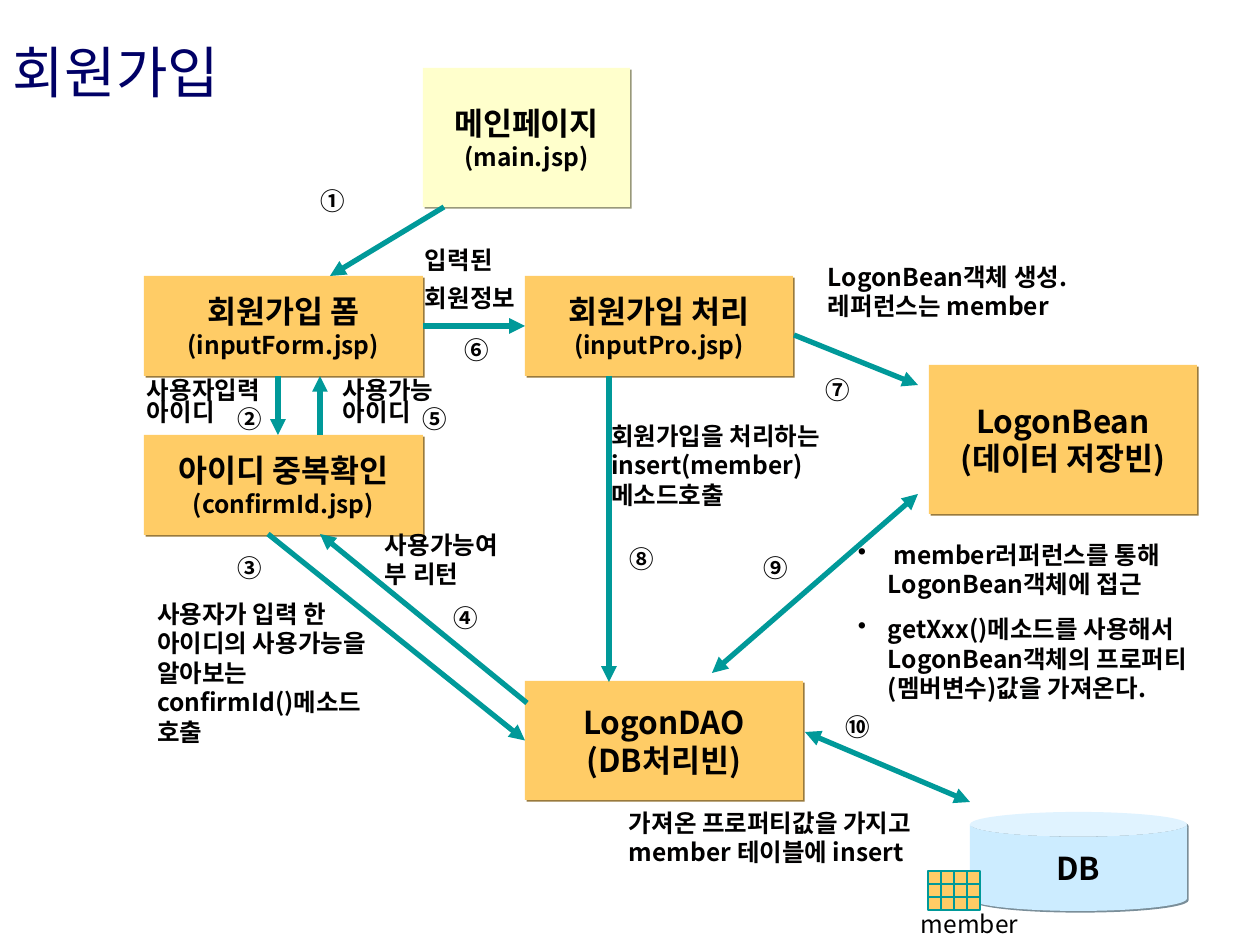
from lxml import etree
from pptx import Presentation
from pptx import util as u
from pptx.dml.color import RGBColor
from pptx.enum import shapes, text
from pptx.oxml.ns import qn

PX = 914400 / 126
FONT = "Noto Sans CJK KR"
INK, TEAL, ORANGE, NAVY = "010000", "009999", "FFCC66", "000066"


def color(code):
    return RGBColor.from_string(code)


def write(frame, lines, align=text.PP_ALIGN.LEFT, before=0, spacing=1.0,
          bold=True, ink=INK, inset=(13, 6)):
    """Fill a text frame with one paragraph per (words, point size) pair."""
    frame.margin_left = frame.margin_right = round(inset[0] * PX)
    frame.margin_top = frame.margin_bottom = round(inset[1] * PX)
    for index, (words, size) in enumerate(lines):
        para = frame.add_paragraph() if index else frame.paragraphs[0]
        para.alignment = align
        para.space_before = u.Pt(before)
        para.line_spacing = spacing
        span = para.add_run()
        span.text = words
        span.font.size = u.Pt(size)
        span.font.bold = bold
        span.font.color.rgb = color(ink)
        span.font.name = FONT
        etree.SubElement(span.font._element, qn("a:ea"), typeface=FONT)


deck = Presentation()
deck.slide_width, deck.slide_height = u.Inches(10), u.Inches(7.5)
page = deck.slides.add_slide(deck.slide_layouts[5])

title = page.shapes.title
title.left, title.top = 0, 0
title.width, title.height = round(436 * PX), round(159 * PX)
title.text_frame.vertical_anchor = text.MSO_ANCHOR.MIDDLE
write(title.text_frame, [("회원가입", 32)], spacing=0.7, bold=False, ink=NAVY)

# Pages, beans and the database: kind, place, fill, shadow, lines
RECT, CAN = shapes.MSO_SHAPE.RECTANGLE, shapes.MSO_SHAPE.CAN
ORANGE_SHADOW = "997A3D"
nodes = {
    "main": (RECT, (423, 68, 207, 139), "FFFFCC", "99997A",
             [("메인페이지", 18), ("(main.jsp)", 14)]),
    "form": (RECT, (144, 276, 279, 100), ORANGE, ORANGE_SHADOW,
             [("회원가입 폼", 18), ("(inputForm.jsp)", 14)]),
    "confirm": (RECT, (144, 435, 279, 100), ORANGE, ORANGE_SHADOW,
                [("아이디 중복확인", 18), ("(confirmId.jsp)", 14)]),
    "process": (RECT, (525, 276, 268, 100), ORANGE, ORANGE_SHADOW,
                [("회원가입 처리", 18), ("(inputPro.jsp)", 14)]),
    "bean": (RECT, (929, 365, 268, 149), ORANGE, ORANGE_SHADOW,
             [("LogonBean", 18), ("(데이터 저장빈)", 18)]),
    "dao": (RECT, (525, 681, 278, 119), ORANGE, ORANGE_SHADOW,
            [("LogonDAO", 18), ("(DB처리빈)", 18)]),
    "database": (CAN, (970, 812, 217, 99), "CCECFF", "7A8E99", [("DB", 18)]),
}
boxes = {}
for name, (kind, place, fill, shade, lines) in nodes.items():
    box = page.shapes.add_shape(kind, *[round(n * PX) for n in place])
    box.fill.solid()
    box.fill.fore_color.rgb = color(fill)
    box.line.fill.background()
    box.shadow.inherit = False
    effects = box._element.spPr.find(qn("a:effectLst"))
    shadow = etree.SubElement(effects, qn("a:outerShdw"), dist="17780",
                              dir="2700000", algn="ctr", rotWithShape="0")
    etree.SubElement(shadow, qn("a:srgbClr"), val=shade)
    box.text_frame.word_wrap = False
    box.text_frame.vertical_anchor = text.MSO_ANCHOR.MIDDLE
    write(box.text_frame, lines, align=text.PP_ALIGN.CENTER)
    boxes[name] = box

# Grid of cells standing for the member table
CELL = 13
for row in range(3):
    for column in range(4):
        cell = page.shapes.add_shape(
            RECT, round((928 + column * CELL) * PX),
            round((871 + row * CELL) * PX), round(CELL * PX), round(CELL * PX))
        cell.fill.solid()
        cell.fill.fore_color.rgb = color(ORANGE)
        cell.line.color.rgb = color(TEAL)
        cell.line.width = u.Pt(0.75)
        cell.shadow.inherit = False

# Arrows: start, end, both ends pointed, joined start and end
arrows = [
    ((444, 207), (330, 276), False, None, None),
    ((278, 376), (278, 435), False, None, None),
    ((320, 435), (320, 376), False, None, None),
    ((268, 534), (525, 741), False, None, ("dao", 1)),
    ((527, 703), (320, 534), False, None, None),
    ((423, 326), (525, 326), False, ("form", 3), ("process", 1)),
    ((794, 335), (918, 385), False, None, None),
    ((609, 376), (609, 682), False, None, None),
    ((712, 673), (918, 494), True, None, None),
    ((805, 732), (970, 802), True, None, None),
]
for start, end, both, source, target in arrows:
    arrow = page.shapes.add_connector(
        shapes.MSO_CONNECTOR.STRAIGHT, *[round(n * PX) for n in start + end])
    if source:
        arrow.begin_connect(boxes[source[0]], source[1])
    if target:
        arrow.end_connect(boxes[target[0]], target[1])
    arrow.line.color.rgb = color(TEAL)
    arrow.line.width = u.Pt(3)
    outline = arrow.line._get_or_add_ln()
    if both:
        etree.SubElement(outline, qn("a:headEnd"), type="triangle")
    etree.SubElement(outline, qn("a:tailEnd"), type="triangle")
    etree.SubElement(arrow._element.spPr, qn("a:effectLst"))

# Notes: place, paragraphs, line spacing, side inset, bold, bulleted
notes = [
    ((815, 256, 289, 72), ["LogonBean객체 생성. 레퍼런스는 member"], 1.0, 13, True, False),
    ((412, 246, 145, 72), ["입력된", "회원정보"], 0.75, 13, True, False),
    ((134, 376, 155, 57), ["사용자입력 아이디"], 0.75, 13, True, False),
    ((330, 376, 155, 57), ["사용가능 아이디"], 0.75, 13, True, False),
    ((144, 593, 248, 160),
     ["사용자가 입력 한 아이디의 사용가능을 알아보는 confirmId()메소드 호출"],
     1.0, 13, True, False),
    ((372, 524, 145, 72), ["사용가능여부 리턴"], 1.0, 13, True, False),
    ((598, 415, 310, 101), ["회원가입을 처리하는 insert(member)메소드호출"],
     1.0, 13, True, False),
    ((858, 534, 340, 175),
     [" member러퍼런스를 통해 LogonBean객체에 접근",
      "getXxx()메소드를 사용해서 LogonBean객체의 프로퍼티(멤버변수)값을 가져온다."],
     1.0, 0, True, True),
    ((629, 802, 340, 72), ["가져온 프로퍼티값을 가지고 member 테이블에 insert"],
     1.0, 0, True, False),
    ((908, 903, 134, 43), ["member"], 1.0, 13, False, False),
]
HANG = str(round(30 * PX))
for place, lines, spacing, side, bold, bulleted in notes:
    note = page.shapes.add_textbox(*[round(n * PX) for n in place])
    note.text_frame.word_wrap = True
    write(note.text_frame, [(line, 14) for line in lines], before=8.8,
          spacing=spacing, bold=bold, inset=(side, 6))
    if bulleted:
        for para in note.text_frame.paragraphs:
            layout = para._p.get_or_add_pPr()
            layout.set("marL", HANG)
            layout.set("indent", "-" + HANG)
            bullet = etree.SubElement(layout, qn("a:buClr"))
            etree.SubElement(bullet, qn("a:srgbClr"), val=INK)
            etree.SubElement(layout, qn("a:buChar"), char="•")

# Step numbers beside the arrows
steps = [(320, 186), (237, 404), (237, 553), (454, 603), (423, 404),
         (464, 335), (825, 375), (629, 544), (764, 553), (846, 712)]
for mark, (left, top) in zip("①②③④⑤⑥⑦⑧⑨⑩", steps):
    step = page.shapes.add_textbox(*[round(n * PX) for n in (left, top, 32, 29)])
    step.text_frame.word_wrap = True
    write(step.text_frame, [(mark, 14)], before=8.8, inset=(0, 0))

deck.save("out.pptx")
